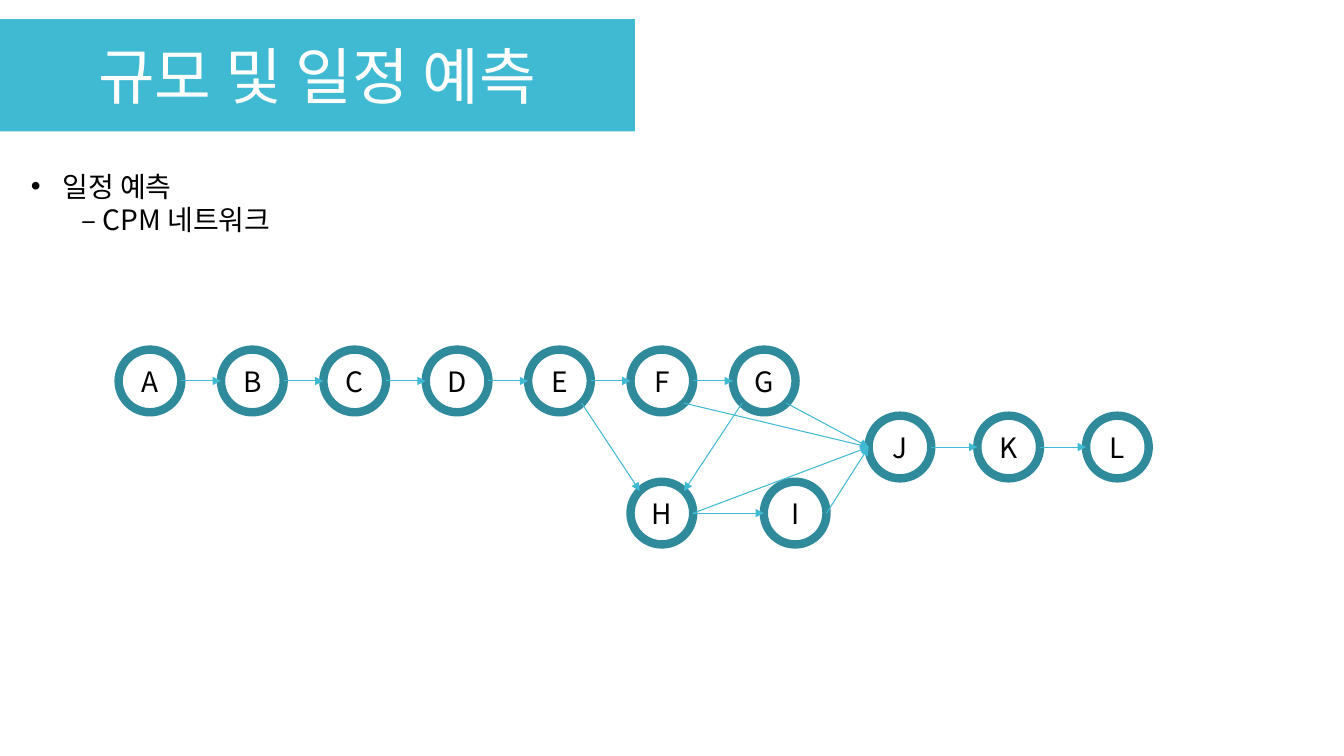
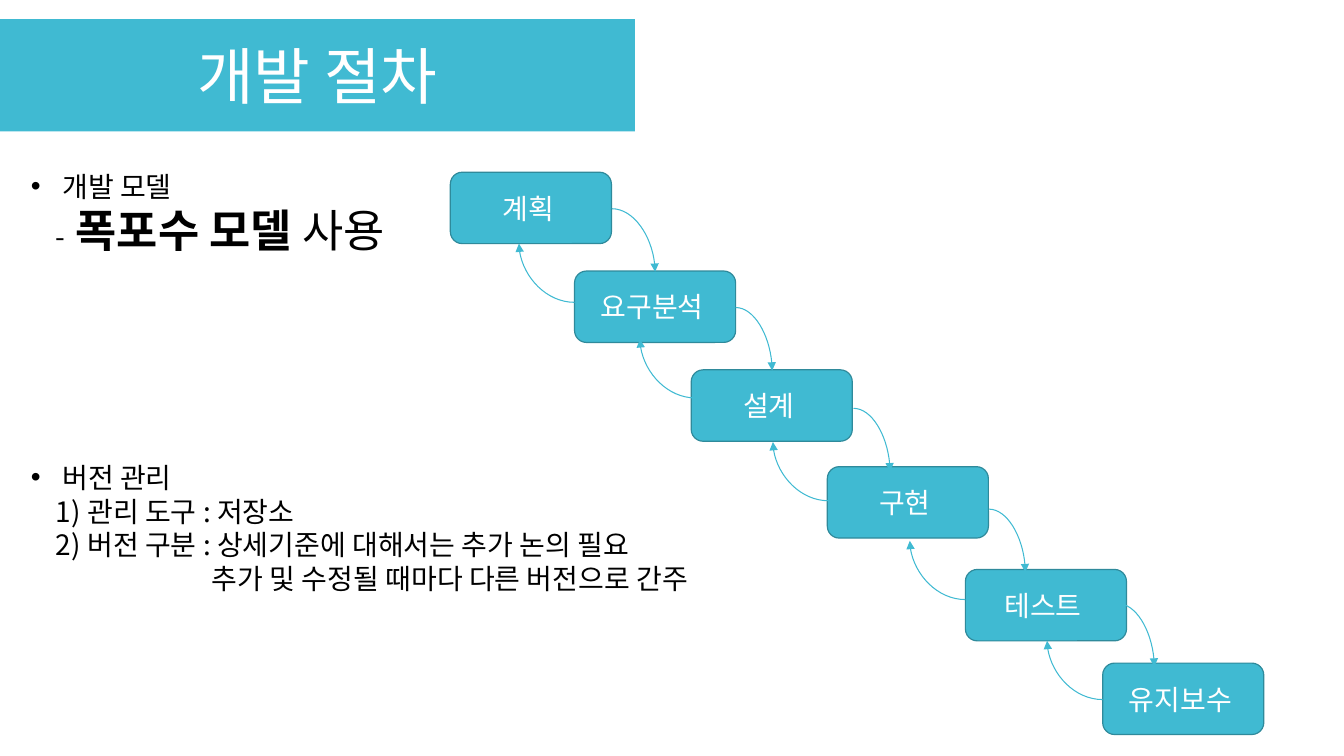
"""Build two slides: a CPM schedule network and a waterfall development process."""
from math import cos, radians, sin

from lxml import etree
from pptx import Presentation
from pptx.dml.color import RGBColor
from pptx.enum.shapes import MSO_CONNECTOR, MSO_SHAPE
from pptx.enum.text import MSO_ANCHOR, MSO_AUTO_SIZE, PP_ALIGN
from pptx.oxml.ns import qn
from pptx.util import Cm, Pt

RECTANGLE, OVAL, ROUNDED = MSO_SHAPE.RECTANGLE, MSO_SHAPE.OVAL, MSO_SHAPE.ROUNDED_RECTANGLE
STRAIGHT, CURVE = MSO_CONNECTOR.STRAIGHT, MSO_CONNECTOR.CURVE
MIDDLE, CENTER = MSO_ANCHOR.MIDDLE, PP_ALIGN.CENTER
FIT_SHAPE = MSO_AUTO_SIZE.SHAPE_TO_FIT_TEXT

COLORS = {"accent": "40BAD2", "outline": "2F8A9B", "white": "FFFFFF", "black": "000000"}
KOREAN, LATIN = "Noto Sans CJK KR", "Cabin"
BODY = {"name": KOREAN, "size": Pt(20)}
TITLE = {**BODY, "size": Pt(44)}
LARGE = {**BODY, "size": Pt(32)}
STRONG = {**LARGE, "bold": True}
SPACER = {"name": LATIN, "size": Pt(18)}
BOXES = {
    "band": {"kind": RECTANGLE, "fill": "accent", "line": None, "text": "white"},
    "node": {"kind": OVAL, "fill": None, "line": ("outline", 6), "text": "black"},
    "step": {"kind": ROUNDED, "fill": "accent", "line": ("outline", 0.85), "text": "white"},
}


def write_runs(paragraph, runs, color):
    for text, formats in runs:
        run = paragraph.add_run()
        run.text = text
        run.font.color.rgb = RGBColor.from_string(COLORS[color])
        for attribute, value in formats.items():
            setattr(run.font, attribute, value)
        etree.SubElement(run.font._element, qn("a:ea"), typeface=formats["name"])


def add_arrow(slide, kind, start, end):
    connector = slide.shapes.add_connector(kind, *[Cm(value) for value in (*start, *end)])
    connector.line.color.rgb = RGBColor.from_string(COLORS["accent"])
    connector.line.width = Pt(0.75)
    properties = connector._element.spPr
    if kind == CURVE:
        properties.find(qn("a:prstGeom")).set("prst", "curvedConnector2")
    etree.SubElement(properties.find(qn("a:ln")), qn("a:tailEnd"), type="triangle")
    etree.SubElement(properties, qn("a:effectLst"))


presentation = Presentation()
presentation.slide_width, presentation.slide_height = Cm(33.87), Cm(19.05)
network, process = [
    presentation.slides.add_slide(presentation.slide_layouts[6]) for _ in range(2)
]

DIAMETER = 1.58
UPPER, LOWER = 9.6, 12.93
BETWEEN = (UPPER + LOWER) / 2
centers = {name: (3.78 + 2.58 * index, UPPER) for index, name in enumerate("ABCDEFG")}
centers["H"] = (centers["F"][0], LOWER)
centers["I"] = (20.04, LOWER)
centers.update({name: (22.68 + 2.74 * index, BETWEEN) for index, name in enumerate("JKL")})

steps = [
    ("계획", 11.35, 4.34),
    ("요구분석", 14.48, 6.83),
    ("설계", 17.42, 9.32),
    ("구현", 20.85, 11.76),
    ("테스트", 24.33, 14.35),
    ("유지보수", 27.79, 16.71),
]

boxes = [
    (slide, "band", (0, 0.48, 16, 2.83), [(title, TITLE)])
    for slide, title in ((network, "규모 및 일정 예측"), (process, "개발 절차"))
]
for name, (x, y) in centers.items():
    frame = (x - DIAMETER / 2, y - DIAMETER / 2, DIAMETER, DIAMETER)
    boxes.append((network, "node", frame, [(name, BODY)]))
for name, left, top in steps:
    boxes.append((process, "step", (left, top, 4.06, 1.8), [(name, BODY), (" ", SPACER)]))

for slide, role, frame, runs in boxes:
    look = BOXES[role]
    shape = slide.shapes.add_shape(look["kind"], *[Cm(value) for value in frame])
    shape.shadow.inherit = False
    if look["fill"]:
        shape.fill.solid()
        shape.fill.fore_color.rgb = RGBColor.from_string(COLORS[look["fill"]])
    else:
        shape.fill.background()
    if look["line"]:
        color, width = look["line"]
        shape.line.color.rgb = RGBColor.from_string(COLORS[color])
        shape.line.width = Pt(width)
    else:
        shape.line.fill.background()
    text_frame = shape.text_frame
    text_frame.vertical_anchor = MIDDLE
    text_frame.margin_left = text_frame.margin_right = 0
    paragraph = text_frame.paragraphs[0]
    paragraph.alignment = CENTER
    write_runs(paragraph, runs, look["text"])

RIGHT, LOWER_RIGHT, LOWER_LEFT, LEFT, UPPER_LEFT, UPPER_RIGHT = 0, 45, 135, 180, 225, 315
links = [(pair[0], RIGHT, pair[1], LEFT) for pair in "AB BC CD DE EF FG HI HJ IJ JK KL".split()]
links += [
    ("E", LOWER_RIGHT, "H", UPPER_LEFT),
    ("G", LOWER_LEFT, "H", UPPER_RIGHT),
    ("F", LOWER_RIGHT, "J", LEFT),
    ("G", LOWER_RIGHT, "J", LEFT),
]
for source, source_angle, target, target_angle in links:
    ends = []
    for name, angle in ((source, source_angle), (target, target_angle)):
        x, y = centers[name]
        ends.append((
            x + DIAMETER / 2 * cos(radians(angle)),
            y + DIAMETER / 2 * sin(radians(angle)),
        ))
    add_arrow(network, STRAIGHT, *ends)

forward = [(15.42, 5.26, 1.09), (18.54, 7.75, 0.92), (21.51, 10.29, 0.92),
           (24.92, 12.83, 0.92), (28.17, 15.21, 0.92)]
backward = [(14.48, 7.62), (17.53, 10.03), (20.88, 12.62), (24.33, 15.11), (27.79, 17.63)]
for x, y, reach in forward:
    add_arrow(process, CURVE, (x, y), (x + reach, y + 1.59))
for x, y in backward:
    add_arrow(process, CURVE, (x, y), (x - 1.4, y - 1.48))

notes = [
    (network, (0.53, 4.14, 9.17, 1.96), "일정 예측", [
        (1.27, [("– CPM 네트워크", BODY)]),
    ]),
    (process, (0.53, 4.14, 11.07, 2.49), "개발 모델", [
        (0.63, [("-", BODY), (" ", LARGE), ("폭포수 모델 ", STRONG), ("사용", LARGE)]),
    ]),
    (process, (0.53, 11.48, 20.3, 4.52), "버전 관리", [
        (0.63, [("1) 관리 도구 : 저장소", BODY)]),
        (0.63, [("2) 버전 구분 : 상세기준에 대해서는 추가 논의 필요", BODY)]),
        (4.56, [("추가 및 수정될 때마다 다른 버전으로 간주", BODY)]),
    ]),
]
for slide, frame, heading, details in notes:
    text_frame = slide.shapes.add_textbox(*[Cm(value) for value in frame]).text_frame
    text_frame.word_wrap = True
    text_frame.auto_size = FIT_SHAPE
    paragraph = text_frame.paragraphs[0]
    write_runs(paragraph, [(heading, BODY)], "black")
    properties = paragraph._element.get_or_add_pPr()
    properties.set("marL", str(Cm(0.79)))
    properties.set("indent", str(Cm(-0.79)))
    etree.SubElement(properties, qn("a:buFont"), typeface="Arial")
    etree.SubElement(properties, qn("a:buChar"), char="•")
    for indent, runs in details:
        paragraph = text_frame.add_paragraph()
        paragraph._element.get_or_add_pPr().set("marL", str(Cm(indent)))
        write_runs(paragraph, runs, "black")

presentation.save("out.pptx")
